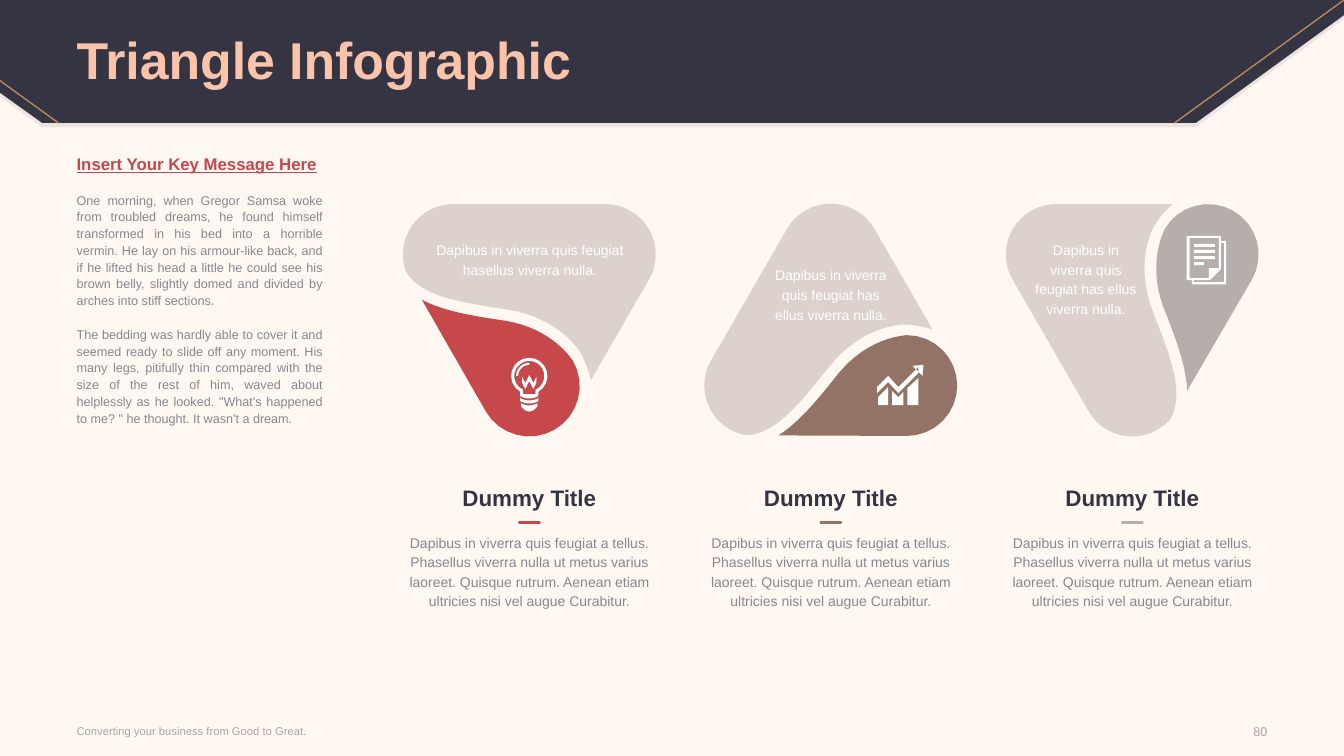
from collections import namedtuple
from math import cos, radians, sin

from lxml.etree import SubElement
from pptx import Presentation
from pptx.dml.color import RGBColor
from pptx.enum.shapes import MSO_CONNECTOR
from pptx.enum.text import MSO_ANCHOR, MSO_AUTO_SIZE, PP_ALIGN
from pptx.oxml.ns import qn
from pptx.util import Inches, Pt

COLOURS = {
    "cream": "FFF7F2", "navy": "343442", "peach": "FBC4AA", "gold": "B98763",
    "red": "C7484A", "brown": "927365", "taupe": "B6AEAB", "blush": "DCD1CC",
    "grey": "85898F", "footer": "A6A6A6", "white": "FFFFFF",
}
COLOURS = {name: RGBColor.from_string(value) for name, value in COLOURS.items()}

# An outline is a list of steps: plain (x, y) corners, arcs and cubic curves.
# Angles are in degrees, clockwise from the right.
Arc = namedtuple("Arc", "x y radius start end")
Curve = namedtuple("Curve", "x1 y1 x2 y2 x y")
FRACTIONS = [count / 16 for count in range(17)]

deck = Presentation()
deck.slide_width, deck.slide_height = Inches(13.33), Inches(7.5)
page = deck.slides.add_slide(deck.slide_layouts[1])
page.background.fill.solid()
page.background.fill.fore_color.rgb = COLOURS["cream"]


def write_text(text, at, box=None, size=10, colour="grey", bold=False,
               align=PP_ALIGN.CENTER, anchor=MSO_ANCHOR.TOP, spacing=None, gap=0):
    """Fill a box with text; \n starts a paragraph and \v breaks a line."""
    box = box or page.shapes.add_textbox(0, 0, 0, 0)
    box.left, box.top, box.width, box.height = [Inches(value) for value in at]
    frame = box.text_frame
    frame.margin_left = frame.margin_top = frame.margin_right = frame.margin_bottom = 0
    frame.word_wrap, frame.auto_size = True, MSO_AUTO_SIZE.NONE
    frame.vertical_anchor = anchor
    frame.text = text
    for index, para in enumerate(frame.paragraphs):
        para.alignment = align
        para.space_before = Pt(gap if index else 0)
        if spacing:
            para.line_spacing = spacing
        for span in para.runs:
            span.font.name, span.font.size, span.font.bold = "Arial", Pt(size), bold
            span.font.color.rgb = COLOURS[colour]


def draw_outline(contours, colour, centre=(0, 0), turn=0):
    """Draw closed contours around a centre, turned clockwise by some degrees."""
    builder = None
    cosine, sine = cos(radians(turn)), sin(radians(turn))
    for contour in contours:
        points = []
        for step in contour:
            if isinstance(step, Arc):
                angles = [radians(step.start + (step.end - step.start) * t) for t in FRACTIONS]
                points += [(step.x + step.radius * cos(angle),
                            step.y + step.radius * sin(angle)) for angle in angles]
            elif isinstance(step, Curve):
                x, y = points[-1]
                for t in FRACTIONS[1:]:
                    weights = (1 - t)**3, 3 * t * (1 - t)**2, 3 * t * t * (1 - t), t**3
                    points.append((
                        sum(w * v for w, v in zip(weights, (x, step.x1, step.x2, step.x))),
                        sum(w * v for w, v in zip(weights, (y, step.y1, step.y2, step.y)))))
            else:
                points.append(step)
        placed = [(Inches(centre[0] + x * cosine - y * sine),
                   Inches(centre[1] + x * sine + y * cosine)) for x, y in points]
        if builder is None:
            builder = page.shapes.build_freeform(*placed[0])
        else:
            builder.move_to(*placed[0])
        builder.add_line_segments(placed[1:], close=True)
    shape = builder.convert_to_shape()
    shape.shadow.inherit = False
    shape.fill.solid()
    shape.fill.fore_color.rgb = COLOURS[colour]
    shape.line.fill.background()
    return shape


# Header band with a faint shade below, both behind the title
title, body = page.placeholders
band_outline = [(11.86, 1.22), (0.42, 1.22), (0, 0.92), (0, 0), (13.33, 0), (13.33, 0.15)]
for drop in (0.04, 0):
    band = draw_outline([band_outline], "navy", centre=(0, drop))
    if drop:
        shade = band._element.spPr.find(".//" + qn("a:srgbClr"))
        SubElement(shade, qn("a:alpha"), val="10000")
    title._element.addprevious(band._element)

# Title and key message
write_text("Triangle Infographic", (0.76, 0.04, 11.81, 1.17), box=title, size=37,
           colour="peach", bold=True, align=PP_ALIGN.LEFT, anchor=MSO_ANCHOR.MIDDLE,
           spacing=0.9)
write_text(
    "Insert Your Key Message Here\n"
    "One morning, when Gregor Samsa woke from troubled dreams, he found himself "
    "transformed in his bed into a horrible vermin. He lay on his armour-like back, and "
    "if he lifted his head a little he could see his brown belly, slightly domed and "
    "divided by arches into stiff sections.\n"
    "The bedding was hardly able to cover it and seemed ready to slide off any moment. "
    "His many legs, pitifully thin compared with the size of the rest of him, waved about "
    "helplessly as he looked. \"What's happened to me? \" he thought. It wasn't a dream.",
    (0.76, 1.56, 2.44, 5.19), box=body, size=9, align=PP_ALIGN.JUSTIFY,
    spacing=Pt(12), gap=12)
for para in body.text_frame.paragraphs:
    properties = para._p.get_or_add_pPr()
    properties.set("marL", "0")
    properties.set("indent", "0")
    SubElement(properties, qn("a:buNone"))
heading = body.text_frame.paragraphs[0].runs[0].font
heading.size, heading.bold, heading.underline = Pt(12), True, True
heading.color.rgb = COLOURS["red"]

# Footer
write_text("Converting your business from Good to Great.", (0.76, 7.12, 5.23, 0.26), size=8,
           colour="footer", align=PP_ALIGN.LEFT, anchor=MSO_ANCHOR.MIDDLE)
write_text("80", (11.94, 7.13, 0.63, 0.26), size=9, colour="footer",
           align=PP_ALIGN.RIGHT, anchor=MSO_ANCHOR.MIDDLE)

# One rounded triangle, centred on (0, 0): a pale part and a drop in its right corner,
# parted by a wavy gap. Every column shows it turned by another 60 degrees.
REACH, RADIUS = 0.87, 0.5
top, left_corner, right_corner = [
    (REACH * cos(radians(angle)), REACH * sin(radians(angle))) for angle in (-90, 150, 30)]
pale_part = [
    Arc(*top, RADIUS, -30, -150), Arc(*left_corner, RADIUS, -150, -260),
    Curve(-0.56, 0.92, -0.33, 0.64, -0.05, 0.29), (0, 0.23),
    Curve(0.32, -0.16, 0.7, -0.17, 0.73, -0.17), Curve(0.82, -0.17, 0.92, -0.15, 1.01, -0.12)]
drop_part = [
    Arc(*right_corner, RADIUS, 90, -90), Curve(0.73, -0.06, 0.38, -0.05, 0.08, 0.31),
    (0.04, 0.36), Curve(-0.15, 0.6, -0.33, 0.81, -0.52, 0.93)]

# Columns: accent, turn, height of the centre, caption and its place
columns = [
    ("red", 60, 2.96, "Dapibus in viverra quis feugiat\nhasellus viverra nulla.",
     (4.31, 2.37, 1.89, 0.39)),
    ("brown", 0, 3.39, "Dapibus in viverra\vquis feugiat has\vellus viverra nulla.",
     (7.53, 2.62, 1.42, 0.59)),
    ("taupe", -60, 2.96, "Dapibus in\vviverra quis\vfeugiat has ellus viverra nulla.",
     (10.06, 2.37, 1.42, 0.79)),
]
rules = [(13.33, 0, 11.65, 1.22, "gold", 1), (0.58, 1.22, 0, 0.8, "gold", 1)]
for index, (accent, turn, middle, caption, caption_place) in enumerate(columns):
    axis = 5.25 + 2.99 * index
    for part, colour in ((pale_part, "blush"), (drop_part, accent)):
        draw_outline([part], colour, centre=(axis, middle), turn=turn)
    write_text(caption, caption_place, colour="white", spacing=Pt(14))
    write_text("Dummy Title", (axis - 1.34, 4.8, 2.68, 0.27), size=16, colour="navy", bold=True)
    write_text("Dapibus in viverra quis feugiat a tellus. Phasellus viverra nulla ut metus "
               "varius laoreet. Quisque rutrum. Aenean etiam ultricies nisi vel augue "
               "Curabitur.", (axis - 1.34, 5.27, 2.68, 0.79), spacing=Pt(14))
    rules.append((axis - 0.1, 5.18, axis + 0.1, 5.18, accent, 2))

# Gold header lines and accent dashes
for x1, y1, x2, y2, colour, width in rules:
    rule = page.shapes.add_connector(MSO_CONNECTOR.STRAIGHT, Inches(x1), Inches(y1),
                                     Inches(x2), Inches(y2))
    rule.line.color.rgb, rule.line.width = COLOURS[colour], Pt(width)
    rule.line._get_or_add_ln().set("cap", "rnd")
    SubElement(rule._element.spPr, qn("a:effectLst"))

# Zigzag strokes of the icons: a centre line, thickened up and down
zigzags = {
    "filament": [(-0.07, 0.04), (-0.04, 0.1), (0, 0.02), (0.04, 0.1), (0.07, 0.04)],
    "trend": [(0.01, 0.25), (0.12, 0.14), (0.22, 0.25), (0.42, 0.05)],
}
strokes = {name: [(x, y - 0.03) for x, y in line] + [(x, y + 0.03) for x, y in line[::-1]]
           for name, line in zigzags.items()}

# Light bulb icon, measured from the middle of the glass
glass = [Arc(0, 0, 0.18, 120, 420), (0.09, 0.2), Curve(0.03, 0.23, -0.03, 0.23, -0.09, 0.2)]
hollow = [Arc(0, 0, 0.15, 115, 425), (0.06, 0.18), (-0.06, 0.18)]
glint = [Arc(0, 0, 0.13, 180, 270), Arc(0, 0, 0.11, 270, 180)]
screw_rings = [
    [(-half, upper), Curve(-0.03, upper + 0.03, 0.03, upper + 0.03, half, upper),
     (half, lower), Curve(0.03, sag, -0.03, sag, -half, lower)]
    for half, upper, lower, sag in ((0.09, 0.22, 0.25, 0.28), (0.08, 0.27, 0.3, 0.37))]
draw_outline([glass, hollow, glint, strokes["filament"]] + screw_rings, "white",
             centre=(5.25, 3.73))

# Growth chart icon: bars stand on one base line below the trend
bar_tops = [[(0.02, 0.32), (0.12, 0.22)], [(0.16, 0.26), (0.22, 0.32), (0.27, 0.27)],
            [(0.31, 0.23), (0.42, 0.13)]]
bars = [tops + [(tops[-1][0], 0.4), (tops[0][0], 0.4)] for tops in bar_tops]
arrowhead = [(0.36, 0.01), (0.47, 0), (0.46, 0.11)]
draw_outline(bars + [strokes["trend"], arrowhead], "white", centre=(8.69, 3.62))

# Document icon: two sheets, the front one with a folded corner and four lines of text
sheets = [(0, 0), (0.34, 0), (0.34, 0.05), (0.39, 0.05), (0.39, 0.48), (0.05, 0.48),
          (0.05, 0.44), (0, 0.44)]
front_hollow = [(0.03, 0.02), (0.32, 0.02), (0.32, 0.32), (0.22, 0.32), (0.22, 0.42),
                (0.03, 0.42)]
back_hollow = [(0.37, 0.46), (0.07, 0.46), (0.07, 0.44), (0.23, 0.44), (0.34, 0.33),
               (0.34, 0.07), (0.37, 0.07)]
text_lines = [[(0.07, y), (end, y), (end, y + 0.03), (0.07, y + 0.03)]
              for y, end in zip((0.08, 0.14, 0.2, 0.26), (0.28, 0.28, 0.28, 0.17))]
draw_outline([sheets, front_hollow, back_hollow] + text_lines, "white", centre=(11.77, 2.34))

deck.save("out.pptx")
